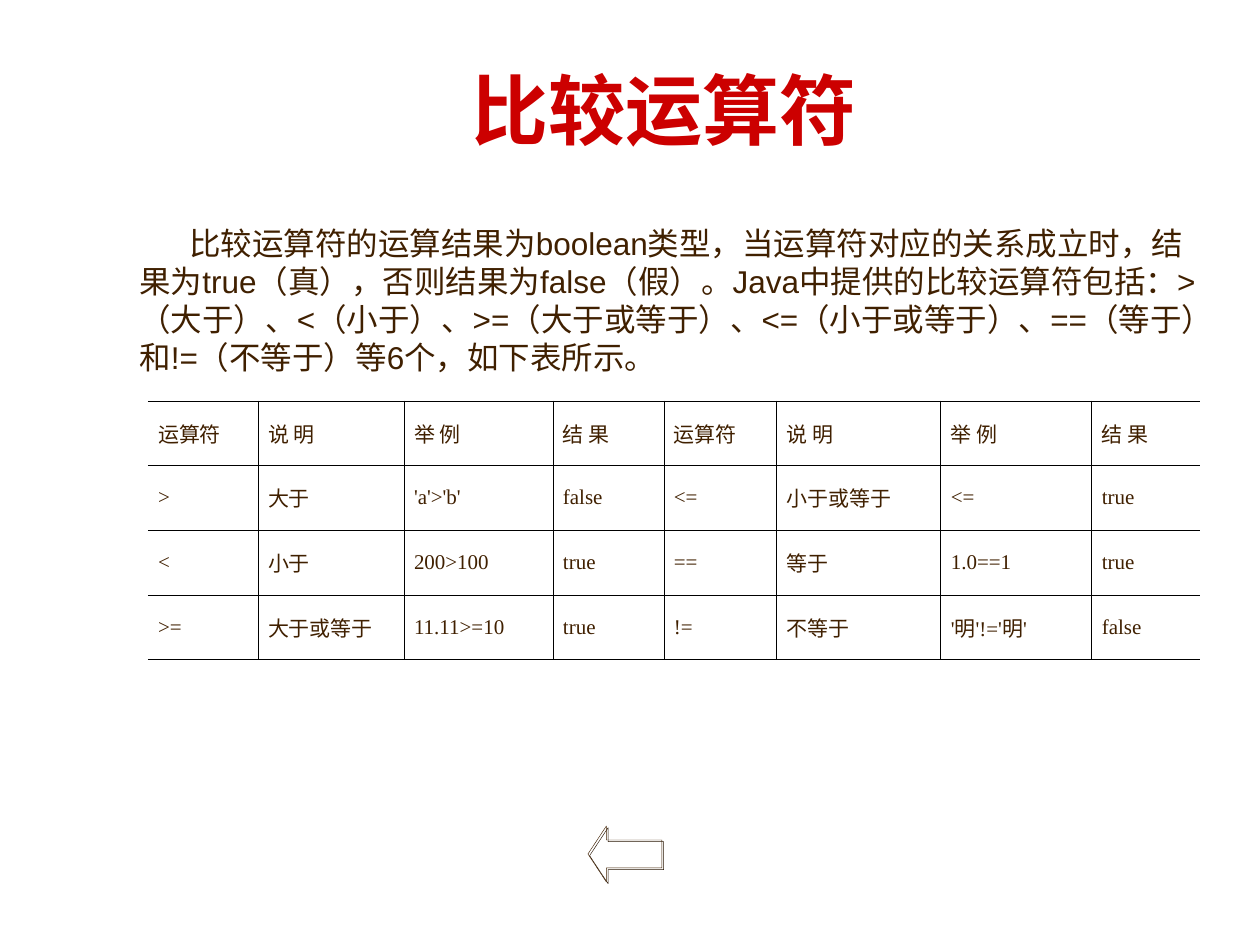
"""Build a slide on comparison operators with a reference table."""
from lxml import etree
from pptx import Presentation, util as u
from pptx.dml.color import RGBColor
from pptx.enum import shapes, text
from pptx.oxml.ns import qn

PX = u.Inches(1) / 126
COLORS = {"ink": "402000", "title": "CC0000", "rule": "000000", "shadow": "261300"}
BODY = (
    "比较运算符的运算结果为boolean类型，当运算符对应的关系成立时，结果为true（真），"
    "否则结果为false（假）。Java中提供的比较运算符包括：>（大于）、<（小于）、"
    ">=（大于或等于）、<=（小于或等于）、==（等于）和!=（不等于）等6个，如下表所示。"
)
HEADINGS = ["运算符", "说 明", "举 例", "结 果"]
ROWS = [
    HEADINGS * 2,
    [">", "大于", "'a'>'b'", "false", "<=", "小于或等于", "<=", "true"],
    ["<", "小于", "200>100", "true", "==", "等于", "1.0==1", "true"],
    [">=", "大于或等于", "11.11>=10", "true", "!=", "不等于", "'明'!='明'", "false"],
]
COLUMN_WIDTHS = [110, 146, 149, 111, 113, 164, 151, 108]
ROW_HEIGHTS = [64, 65, 65, 64]


def emu(*lengths):
    return [u.Emu(round(length * PX)) for length in lengths]


def write(frame, words, color, font, layout):
    para = frame.paragraphs[0]
    for name, value in layout.items():
        setattr(para, name, value)
    span = para.add_run()
    span.text = words
    for name, value in font.items():
        setattr(span.font, name, value)
    span.font.color.rgb = RGBColor.from_string(COLORS[color])
    return para


deck = Presentation()
deck.slide_width, deck.slide_height = emu(1260, 945)
page = deck.slides.add_slide(deck.slide_layouts[6])

body = page.shapes.add_textbox(*emu(127, 218, 1099, 164)).text_frame
body.word_wrap = True
para = write(body, BODY, "ink", {"name": "Arial", "size": u.Pt(18)},
             {"space_before": u.Pt(11.2)})
para._p.get_or_add_pPr().set("indent", str(emu(50)[0]))

title = page.shapes.add_textbox(*emu(127, 39, 1074, 140)).text_frame
title.word_wrap = True
title.vertical_anchor = text.MSO_ANCHOR.MIDDLE
write(title, "比较运算符", "title",
      {"name": "Times New Roman", "size": u.Pt(44), "bold": True},
      {"alignment": text.PP_ALIGN.CENTER})

arrow = page.shapes.add_shape(shapes.MSO_SHAPE.LEFT_ARROW, *emu(588, 826, 74, 56))
arrow.adjustments[0] = 0.5
arrow.adjustments[1] = 0.33
arrow.fill.background()
arrow.line.color.rgb = RGBColor.from_string(COLORS["ink"])
arrow.line.width = u.Pt(0.25)
arrow.shadow.inherit = False
effects = arrow._element.spPr.find(qn("a:effectLst"))
shadow = etree.SubElement(effects, qn("a:outerShdw"), dist=str(u.Pt(1.4)),
                          dir="2700000", algn="ctr", rotWithShape="0")
etree.SubElement(shadow, qn("a:srgbClr"), val=COLORS["shadow"])

frame = page.shapes.add_table(len(ROWS), len(COLUMN_WIDTHS),
                              *emu(148, 401, sum(COLUMN_WIDTHS), sum(ROW_HEIGHTS)))
table = frame.table
table.first_row = False
table.horz_banding = False
for column, width in zip(table.columns, emu(*COLUMN_WIDTHS)):
    column.width = width
for row, height in zip(table.rows, emu(*ROW_HEIGHTS)):
    row.height = height

cell_format = {"vertical_anchor": text.MSO_ANCHOR.MIDDLE,
               "margin_left": u.Inches(0.08), "margin_right": u.Inches(0.08),
               "margin_top": u.Inches(0.05), "margin_bottom": u.Inches(0.05)}
cell_layout = {"alignment": text.PP_ALIGN.JUSTIFY,
               "space_before": u.Pt(1.2), "space_after": u.Pt(1.2)}
cell_font = {"name": "Times New Roman", "size": u.Pt(12)}
last = len(COLUMN_WIDTHS) - 1
for r, words in enumerate(ROWS):
    for c, word in enumerate(words):
        cell = table.cell(r, c)
        for name, value in cell_format.items():
            setattr(cell, name, value)
        write(cell.text_frame, word, "ink", cell_font, cell_layout)
        cell.fill.background()
        open_sides = {"L": c == 0, "R": c == last}
        for place, side in enumerate("LRTB"):
            edge = etree.Element(qn(f"a:ln{side}"), w=str(u.Pt(0.45)))
            if open_sides.get(side):
                etree.SubElement(edge, qn("a:noFill"))
            else:
                paint = etree.SubElement(edge, qn("a:solidFill"))
                etree.SubElement(paint, qn("a:srgbClr"), val=COLORS["rule"])
            cell._tc.tcPr.insert(place, edge)

deck.save("out.pptx")
